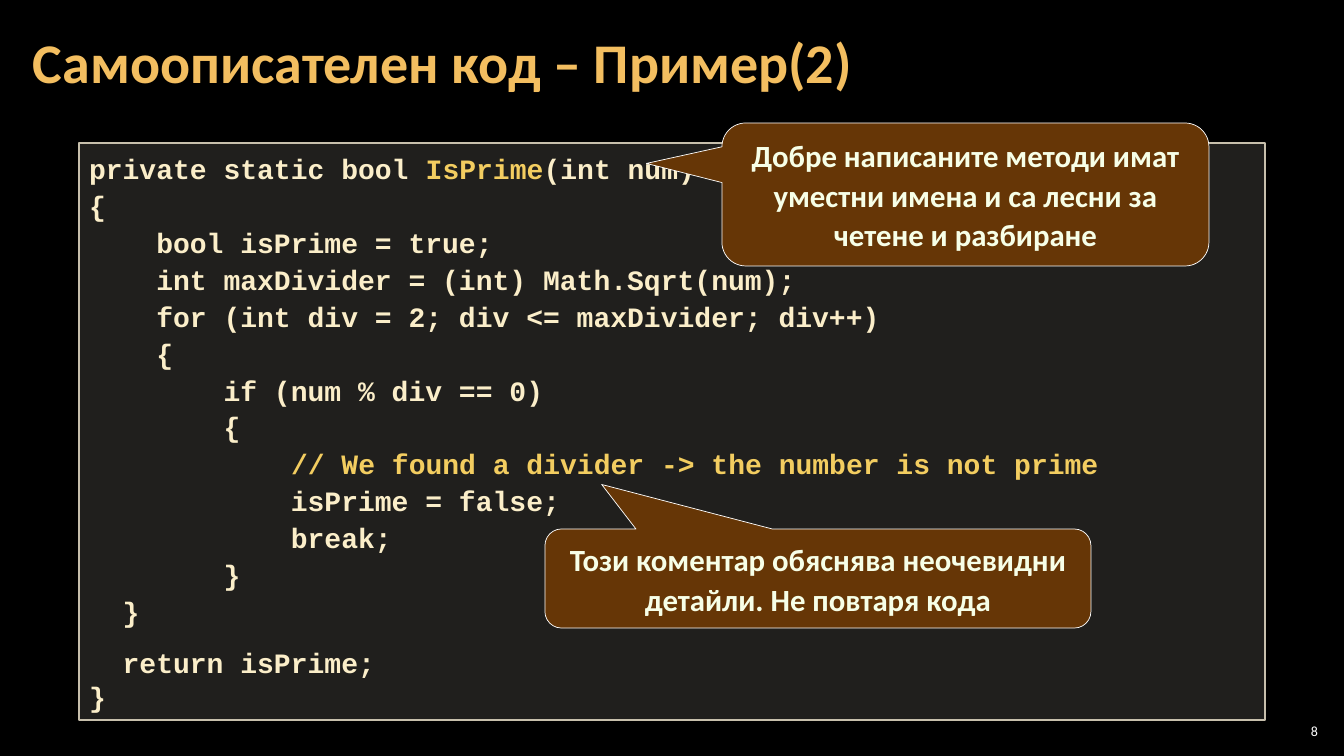
"""Build the slide on self-documenting code: a C# listing with two callouts."""
from dataclasses import dataclass
from typing import NamedTuple

from lxml import etree
from pptx import Presentation
from pptx.dml.color import RGBColor
from pptx.enum.shapes import MSO_SHAPE
from pptx.enum.text import MSO_ANCHOR, MSO_AUTO_SIZE, PP_ALIGN
from pptx.oxml.ns import qn
from pptx.util import Emu, Pt

PX_PER_INCH = 100.8
EMU_PER_PX = 914400 / PX_PER_INCH
RECTANGLE = MSO_SHAPE.RECTANGLE
CALLOUT = MSO_SHAPE.ROUNDED_RECTANGULAR_CALLOUT
TOP, MIDDLE = MSO_ANCHOR.TOP, MSO_ANCHOR.MIDDLE
LEFT, CENTER, RIGHT = PP_ALIGN.LEFT, PP_ALIGN.CENTER, PP_ALIGN.RIGHT
GROW = MSO_AUTO_SIZE.SHAPE_TO_FIT_TEXT


@dataclass(frozen=True)
class Theme:
    """Colours, fonts and type sizes of the slide."""
    background: str = "000000"
    title: str = "F3BE60"
    page_number: str = "FFFFFF"
    code: str = "FBEEC9"
    highlight: str = "F3CD60"
    panel: str = "D9D5C7"
    panel_line: str = "C7BFAC"
    callout: str = "663606"
    callout_line: str = "FFFFFF"
    callout_text: str = "F7FFE7"
    body_font: str = "Calibri"
    code_font: str = "Courier New"
    title_size: int = 40
    callout_size: int = 22
    code_size: int = 20
    page_size: int = 10


THEME = Theme()


class Box(NamedTuple):
    """Left, top, width and height in px."""
    left: int
    top: int
    width: int
    height: int


class Span(NamedTuple):
    """A piece of text in one colour."""
    text: str
    color: str


class Line(NamedTuple):
    """A paragraph with its spacing."""
    spans: list[Span]
    spacing: float | Pt | None = None
    before: int = 0


class Callout(NamedTuple):
    """A remark, its place and the offset of its tip."""
    box: Box
    tip: tuple[float, float]
    text: str


CODE = """private static bool IsPrime(int num)
{
    bool isPrime = true;
    int maxDivider = (int) Math.Sqrt(num);
    for (int div = 2; div <= maxDivider; div++)
    {
        if (num % div == 0)
        {
            // We found a divider -> the number is not prime
            isPrime = false;
            break;
        }
  }
  return isPrime;
}"""
HIGHLIGHTS = ("IsPrime(", "// We found a divider -> the number is not prime")
CALLOUTS = [
    Callout(Box(722, 123, 487, 143), (-0.655, -0.217),
            "Добре написаните методи имат уместни имена и са лесни за четене и разбиране"),
    Callout(Box(545, 529, 546, 99), (-0.396, -0.95),
            "Този коментар обяснява неочевидни детайли. Не повтаря кода"),
]


def px(length: float) -> Emu:
    """Turn px into EMU."""
    return Emu(round(length * EMU_PER_PX))


def place(box: Box) -> list[Emu]:
    """Turn a box into EMU."""
    return [px(length) for length in box]


def rgb(color: str) -> RGBColor:
    """Turn a hex string into a colour."""
    return RGBColor.from_string(color)


def write(shape, lines: list[Line], *, size: int, font: str = THEME.body_font,
          bold: bool = True, align=LEFT, anchor=TOP,
          inset: tuple[int, int] = (10, 5)) -> None:
    """Fill a shape with formatted paragraphs."""
    frame = shape.text_frame
    frame.word_wrap = True
    frame.vertical_anchor = anchor
    frame.margin_left = frame.margin_right = px(inset[0])
    frame.margin_top = frame.margin_bottom = px(inset[1])
    for index, line in enumerate(lines):
        paragraph = frame.add_paragraph() if index else frame.paragraphs[0]
        paragraph.alignment = align
        paragraph.line_spacing = line.spacing
        paragraph.space_before = Pt(line.before)
        for span in line.spans:
            run = paragraph.add_run()
            run.text = span.text
            run.font.name = font
            run.font.size = Pt(size)
            run.font.bold = bold
            run.font.color.rgb = rgb(span.color)


def add_panel(slide, kind, box: Box, *, fill: str, line: str, width: float):
    """Add a filled and outlined shape that grows with its text."""
    panel = slide.shapes.add_shape(kind, *place(box))
    panel.shadow.inherit = False
    panel.fill.solid()
    panel.fill.fore_color.rgb = rgb(fill)
    panel.line.color.rgb = rgb(line)
    panel.line.width = Pt(width)
    panel.text_frame.auto_size = GROW
    return panel


def set_opacity(shape, percent: int) -> None:
    """Make the solid fill of a shape see-through."""
    color = shape.fill._xPr.find(qn("a:solidFill"))[0]
    etree.SubElement(color, qn("a:alpha")).set("val", str(percent * 1000))


def code_spans(text: str) -> list[Span]:
    """Split a code line around its highlighted part."""
    for highlight in HIGHLIGHTS:
        if highlight in text:
            word = highlight.rstrip("(")
            before, _, after = text.partition(word)
            parts = [Span(before, THEME.code), Span(word, THEME.highlight),
                     Span(after, THEME.code)]
            return [part for part in parts if part.text]
    return [Span(text, THEME.code)]


def code_line(text: str) -> Line:
    """Space a code line by its role in the method."""
    return Line(code_spans(text), spacing=None if text == "}" else 1.1,
                before=10 if "return" in text else 0)


def add_callout(slide, callout: Callout) -> None:
    """Draw one remark with its pointer."""
    bubble = add_panel(slide, CALLOUT, callout.box, fill=THEME.callout,
                       line=THEME.callout_line, width=0.5)
    bubble.adjustments[0], bubble.adjustments[1] = callout.tip
    write(bubble, [Line([Span(callout.text, THEME.callout_text)], Pt(28))],
          size=THEME.callout_size, align=CENTER)


def main() -> None:
    """Build and save the slide."""
    deck = Presentation()
    deck.slide_width, deck.slide_height = px(1344), px(756)
    slide = deck.slides.add_slide(deck.slide_layouts[6])
    slide.background.fill.solid()
    slide.background.fill.fore_color.rgb = rgb(THEME.background)

    page_number = slide.shapes.add_textbox(*place(Box(1275, 720, 47, 21)))
    write(page_number, [Line([Span("8", THEME.page_number)])], size=THEME.page_size,
          bold=False, align=RIGHT, anchor=MIDDLE, inset=(4, 4))
    title = slide.shapes.add_textbox(*place(Box(21, 4, 1055, 122)))
    write(title, [Line([Span("Самоописателен код – Пример(2)", THEME.title)], 0.9)],
          size=THEME.title_size, anchor=MIDDLE, inset=(12, 4))

    listing = add_panel(slide, RECTANGLE, Box(79, 143, 1186, 577), fill=THEME.panel,
                        line=THEME.panel_line, width=1)
    set_opacity(listing, 15)
    write(listing, [code_line(text) for text in CODE.splitlines()],
          size=THEME.code_size, font=THEME.code_font)
    for callout in CALLOUTS:
        add_callout(slide, callout)
    deck.save("out.pptx")


if __name__ == "__main__":
    main()
